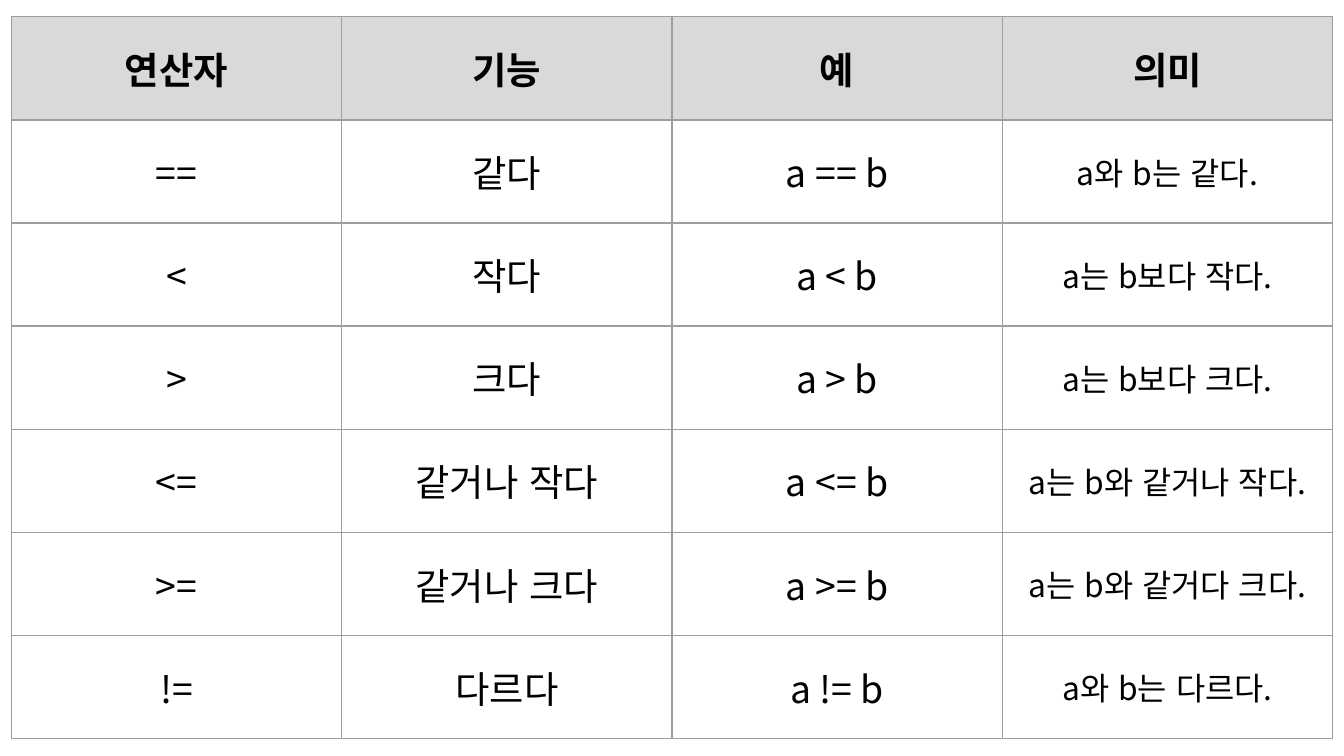
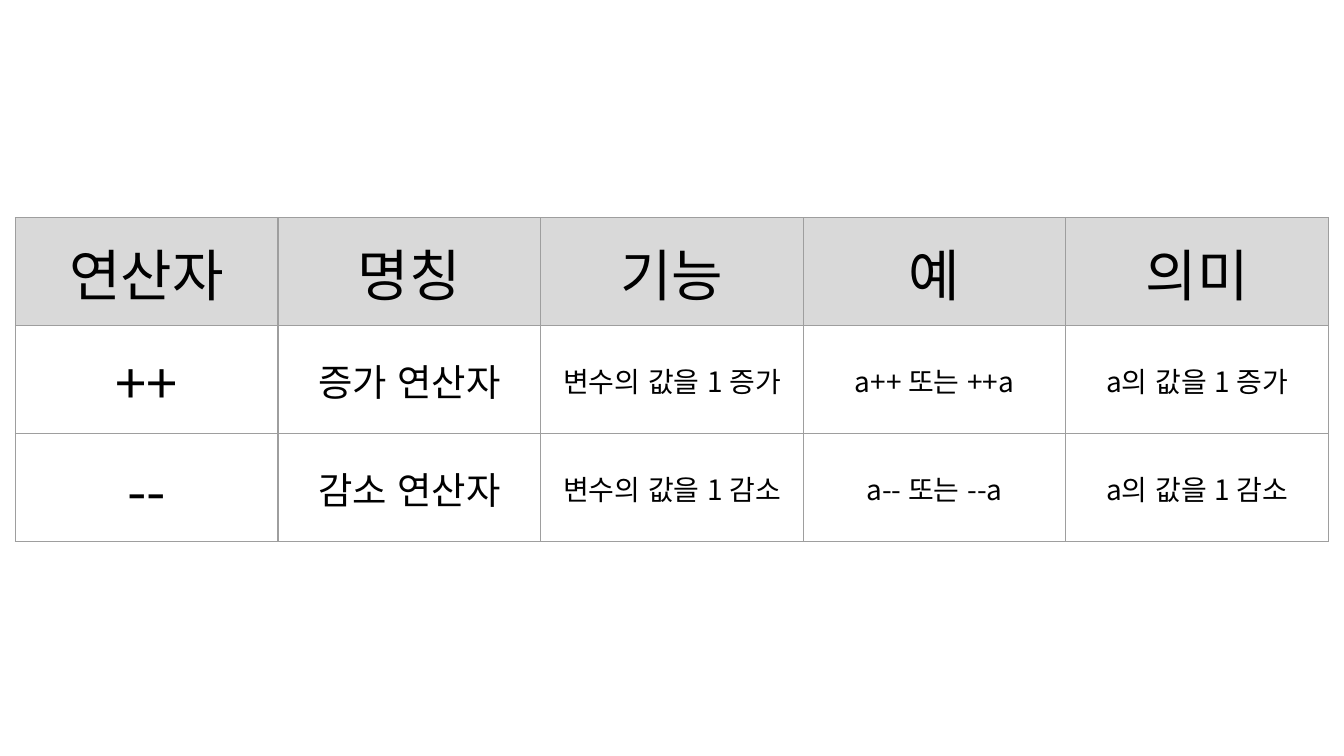
from dataclasses import dataclass

from lxml import etree
from pptx import Presentation
from pptx.dml.color import RGBColor
from pptx.enum.lang import MSO_LANGUAGE_ID
from pptx.enum.text import MSO_ANCHOR, PP_ALIGN
from pptx.oxml.ns import qn
from pptx.util import Inches, Pt

CENTER = PP_ALIGN.CENTER
MIDDLE = MSO_ANCHOR.MIDDLE
KOREAN = MSO_LANGUAGE_ID.KOREAN
BLANK_LAYOUT = 6
GRID_COLUMNS = 1000  # square grid units across the slide
BORDER_SIDES = ("lnL", "lnR", "lnT", "lnB")


@dataclass(frozen=True)
class Theme:
    font: str = "Noto Sans CJK KR"
    background: str = "FFFFFF"
    ink: str = "000000"
    header_fill: str = "D9D9D9"
    border: str = "9E9E9E"
    border_width: float = 0.75
    cell_inset: float = 0.1
    display: int = 30
    body: int = 20
    sentence: int = 17
    detail: int = 15


class Deck:
    def __init__(self, theme):
        self.theme = theme
        self.presentation = Presentation()
        self.presentation.slide_width = Inches(10)
        self.presentation.slide_height = Inches(10) * 9 // 16
        self.slide = None

    def grid(self, units):
        """Turn grid units into a length."""
        return int(units * self.presentation.slide_width / GRID_COLUMNS)

    def new_slide(self):
        layout = self.presentation.slide_layouts[BLANK_LAYOUT]
        self.slide = self.presentation.slides.add_slide(layout)
        self.paint(self.slide.background.fill, self.theme.background)

    def paint(self, fill, color):
        fill.solid()
        fill.fore_color.rgb = RGBColor.from_string(color)

    def table(self, rows, left, top, width, row_height,
              header_size, column_sizes, bold_header=False):
        """Place equal columns and rows by grid units; the first row is the header."""
        column_count = len(rows[0])
        table = self.slide.shapes.add_table(
            len(rows), column_count, self.grid(left), self.grid(top),
            self.grid(width), self.grid(row_height * len(rows))).table
        table.first_row = table.horz_banding = False
        for column in table.columns:
            column.width = self.grid(width / column_count)
        for row in table.rows:
            row.height = self.grid(row_height)

        header, *operators = rows
        for cell, wording in zip(table.rows[0].cells, header):
            self.paint(cell.fill, self.theme.header_fill)
            self.finish_cell(cell, wording, header_size, bold_header)
        for row_index, operator in enumerate(operators, start=1):
            cells = table.rows[row_index].cells
            for cell, wording, size in zip(cells, operator, column_sizes):
                cell.fill.background()
                self.finish_cell(cell, wording, size)

    def finish_cell(self, cell, wording, size, bold=False):
        """Write the cell's text and draw its borders."""
        cell.vertical_anchor = MIDDLE
        inset = Inches(self.theme.cell_inset)
        cell.margin_left = cell.margin_right = inset
        cell.margin_top = cell.margin_bottom = inset
        paragraph = cell.text_frame.paragraphs[0]
        paragraph.alignment = CENTER
        self.add_run(paragraph, wording, size, bold)
        self.cell_borders(cell)

    def add_run(self, paragraph, wording, size, bold):
        run = paragraph.add_run()
        run.text = wording
        font = run.font
        font.size = Pt(size)
        font.bold = bold
        font.language_id = KOREAN
        font.name = self.theme.font
        self.paint(font.fill, self.theme.ink)
        latin = font._element.find(qn("a:latin"))
        for script in ("cs", "ea"):  # each goes right after latin, so ea ends first
            latin.addnext(etree.Element(qn(f"a:{script}"),
                                        typeface=self.theme.font))

    def cell_borders(self, cell):
        properties = cell._tc.get_or_add_tcPr()
        for position, side in enumerate(BORDER_SIDES):
            line = etree.Element(
                qn(f"a:{side}"), w=str(Pt(self.theme.border_width)))
            fill = etree.SubElement(line, qn("a:solidFill"))
            etree.SubElement(fill, qn("a:srgbClr"), val=self.theme.border)
            properties.insert(position, line)

    def save(self):
        self.presentation.save("out.pptx")


COMPARISON_OPERATORS = [
    ("연산자", "기능", "예", "의미"),
    ("==", "같다", "a == b", "a와 b는 같다."),
    ("<", "작다", "a < b", "a는 b보다 작다."),
    (">", "크다", "a > b", "a는 b보다 크다."),
    ("<=", "같거나 작다", "a <= b", "a는 b와 같거나 작다."),
    (">=", "같거나 크다", "a >= b", "a는 b와 같거다 크다."),
    ("!=", "다르다", "a != b", "a와 b는 다르다."),
]

STEP_OPERATORS = [
    ("연산자", "명칭", "기능", "예", "의미"),
    ("++", "증가 연산자", "변수의 값을 1 증가", "a++ 또는 ++a", "a의 값을 1 증가"),
    ("--", "감소 연산자", "변수의 값을 1 감소", "a-- 또는 --a", "a의 값을 1 감소"),
]


def main():
    theme = Theme()
    deck = Deck(theme)

    deck.new_slide()
    deck.table(COMPARISON_OPERATORS, left=8.5, top=12.5,
               width=983, row_height=76.7,
               header_size=theme.body, bold_header=True,
               column_sizes=[theme.body] * 3 + [theme.sentence])

    deck.new_slide()
    deck.table(STEP_OPERATORS, left=11.5, top=162,
               width=977, row_height=80.2,
               header_size=theme.display,
               column_sizes=[theme.display, theme.body] + [theme.detail] * 3)

    deck.save()


if __name__ == "__main__":
    main()
